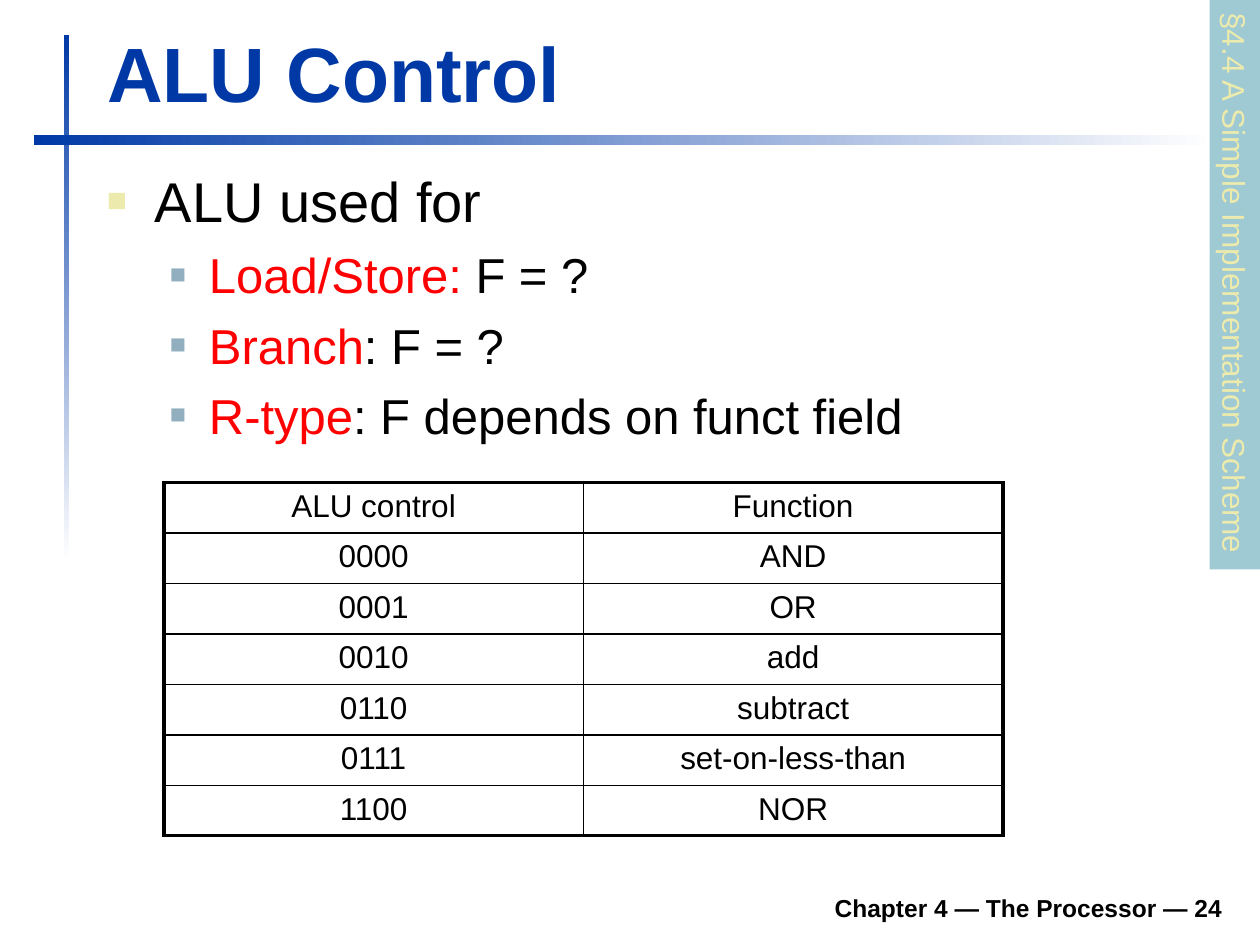
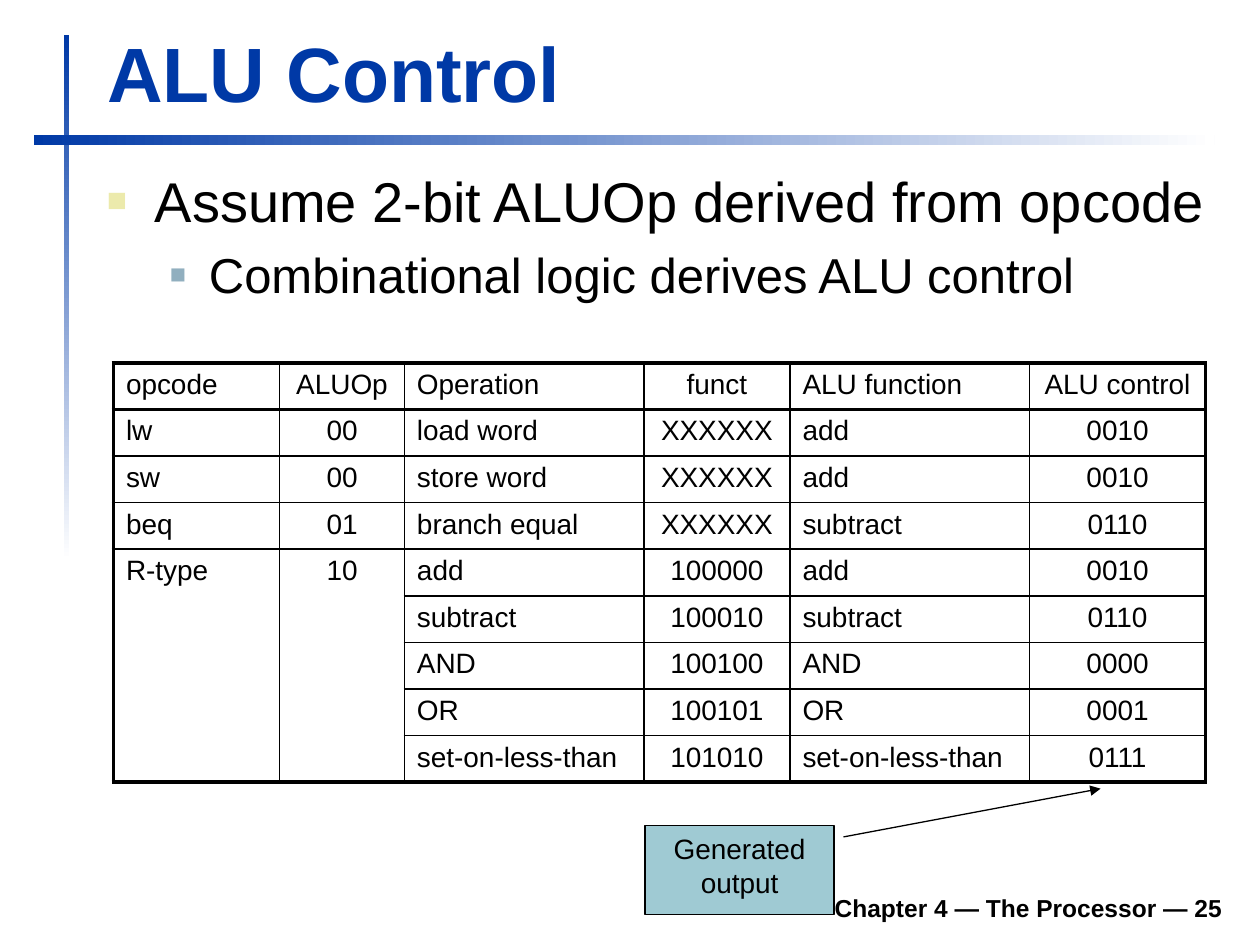
"""Build two slides on ALU control."""
from lxml import etree
from pptx import Presentation
from pptx.dml.color import RGBColor as RGB
from pptx.enum.shapes import MSO_SHAPE as Shape
from pptx.enum.text import MSO_ANCHOR as Anchor, MSO_AUTO_SIZE as Auto, PP_ALIGN as Align
from pptx.oxml.ns import qn
from pptx.util import Inches, Pt

HUES = {"blue": "0039A6", "white": "FFFFFF", "black": "000000", "red": "FF0000",
        "sand": "ECEAAC", "steel": "91AFBF", "teal": "9FCAD3"}
LEVELS = [
    {"size": 32, "bullet": ("sand", 60, 0.38, 0.38)},
    {"size": 28, "bullet": ("steel", 55, 0.81, 0.31), "level": 1, "before": 6.5},
]


def write(frame, text, size=18, color="black", bold=False, align=Align.LEFT,
          before=0, level=0, bullet=None):
    """Add a paragraph; text is a string or a list of (words, colour) pairs."""
    para = frame.paragraphs[0]
    if para.runs:
        para = frame.add_paragraph()
    para.alignment, para.level, para.space_before = align, level, Pt(before)
    if bullet:
        hue, scale, left, hang = bullet
        props = para._p.get_or_add_pPr()
        props.set("marL", str(Inches(left)))
        props.set("indent", str(-Inches(hang)))
        tint = etree.SubElement(props, qn("a:buClr"))
        etree.SubElement(tint, qn("a:srgbClr"), val=HUES[hue])
        etree.SubElement(props, qn("a:buSzPct"), val=str(scale * 1000))
        etree.SubElement(props, qn("a:buFont"), typeface="Arial")
        etree.SubElement(props, qn("a:buChar"), char="■")
    for words, hue in [(text, color)] if isinstance(text, str) else text:
        run = para.add_run()
        run.text = words
        run.font.name, run.font.size, run.font.bold = "Arial", Pt(size), bold
        run.font.color.rgb = RGB.from_string(HUES[hue])


def grid(slide, left, top, widths, height, rows, size, mids, spans=()):
    """Add a ruled table; mids lists the centred columns."""
    table = slide.shapes.add_table(
        len(rows), len(widths), Inches(left), Inches(top),
        Inches(sum(widths)), Inches(height * len(rows))).table
    table.first_row = table.horz_banding = False
    for col, width in zip(table.columns, widths):
        col.width = Inches(width)
    for row in table.rows:
        row.height = Inches(height)
    for r, c, end in spans:
        table.cell(r, c).merge(table.cell(end, c))
    for r, row in enumerate(rows):
        for c, text in enumerate(row):
            cell = table.cell(r, c)
            deep = cell.span_height if cell.is_merge_origin else 1
            edges = {
                "L": 2.25 if c == 0 else 1,
                "R": 2.25 if c == len(widths) - 1 else 1,
                "T": 2.25 if r == 0 else 1.5 if r == 1 else 1,
                "B": 2.25 if r + deep == len(rows) else 1.5 if r == 0 else 1,
            }
            props = cell._tc.get_or_add_tcPr()
            for side, width in edges.items():
                line = etree.SubElement(props, qn("a:ln" + side), w=str(Pt(width)))
                fill = etree.SubElement(line, qn("a:solidFill"))
                etree.SubElement(fill, qn("a:srgbClr"), val=HUES["black"])
            cell.fill.background()
            if text:
                write(cell.text_frame, text, size=size,
                      align=Align.CENTER if c in mids else Align.LEFT)


deck = Presentation()
deck.slide_width, deck.slide_height = Inches(10), Inches(7.5)

pages = [
    (24, 2.6, [
        (0, "ALU used for"),
        (1, [("Load/Store:", "red"), (" F = ?", "black")]),
        (1, [("Branch", "red"), (": F = ?", "black")]),
        (1, [("R-type", "red"), (": F depends on funct field", "black")]),
    ]),
    (25, 5.59, [
        (0, "Assume 2-bit ALUOp derived from opcode"),
        (1, "Combinational logic derives ALU control"),
    ]),
]
bands = [((0.51, 0.28, 0.04, 4.17), 270), ((0.27, 1.07, 9.37, 0.08), 0)]

for number, tall, points in pages:
    slide = deck.slides.add_slide(deck.slide_layouts[5])
    for place, angle in bands:
        band = slide.shapes.add_shape(Shape.RECTANGLE, *map(Inches, place))
        band.shadow.inherit = False
        band.line.fill.background()
        band.fill.gradient()
        band.fill.gradient_angle = angle
        for stop, hue, spot in zip(band.fill.gradient_stops, ("blue", "white"), (0, 1)):
            stop.color.rgb = RGB.from_string(HUES[hue])
            stop.position = spot

    foot = slide.shapes.add_textbox(Inches(1.85), Inches(6.98), Inches(7.95), Inches(0.39))
    foot.text_frame.word_wrap = True
    foot.text_frame.vertical_anchor = Anchor.BOTTOM
    write(foot.text_frame, f"Chapter 4 — The Processor — {number}",
          size=14, bold=True, align=Align.RIGHT)

    title = slide.shapes.title
    title.left, title.top, title.width, title.height = map(Inches, (0.75, 0.16, 9.03, 0.83))
    title.text_frame.vertical_anchor = Anchor.BOTTOM
    title.text_frame.auto_size = Auto.SHAPE_TO_FIT_TEXT
    write(title.text_frame, "ALU Control", size=44, color="blue", bold=True)

    body = slide.shapes.add_textbox(Inches(0.75), Inches(1.23), Inches(9.05), Inches(tall))
    body.text_frame.word_wrap = True
    body.text_frame.margin_top = Inches(0.09)
    for level, text in points:
        write(body.text_frame, text, **LEVELS[level])

first, second = deck.slides

side = first.shapes.add_shape(Shape.RECTANGLE, Inches(7.54), Inches(2.06), Inches(4.52), Inches(0.4))
side.rotation = 90
side.shadow.inherit = False
side.line.fill.background()
side.fill.solid()
side.fill.fore_color.rgb = RGB.from_string(HUES["teal"])
side.text_frame.word_wrap = False
side.text_frame.auto_size = Auto.SHAPE_TO_FIT_TEXT
side.text_frame.vertical_anchor = Anchor.TOP
write(side.text_frame, "§4.4 A Simple Implementation Scheme", color="sand")

codes = [
    ("ALU control", "Function"),
    ("0000", "AND"),
    ("0001", "OR"),
    ("0010", "add"),
    ("0110", "subtract"),
    ("0111", "set-on-less-than"),
    ("1100", "NOR"),
]
grid(first, 1.3, 3.83, [3.33, 3.33], 0.4, codes, 18, (0, 1))

ops = [
    ("opcode", "ALUOp", "Operation", "funct", "ALU function", "ALU control"),
    ("lw", "00", "load word", "XXXXXX", "add", "0010"),
    ("sw", "00", "store word", "XXXXXX", "add", "0010"),
    ("beq", "01", "branch equal", "XXXXXX", "subtract", "0110"),
    ("R-type", "10", "add", "100000", "add", "0010"),
    ("", "", "subtract", "100010", "subtract", "0110"),
    ("", "", "AND", "100100", "AND", "0000"),
    ("", "", "OR", "100101", "OR", "0001"),
    ("", "", "set-on-less-than", "101010", "set-on-less-than", "0111"),
]
grid(second, 0.9, 2.88, [1.32, 0.99, 1.9, 1.16, 1.9, 1.4], 0.37, ops, 16, (1, 3, 5),
     spans=[(4, 0, 8), (4, 1, 8)])

note = second.shapes.add_shape(Shape.LINE_CALLOUT_1, Inches(5.12), Inches(6.55), Inches(1.5), Inches(0.71))
for spot, value in enumerate((0.13, 1.05, -0.41, 2.41)):
    note.adjustments[spot] = value
note.shadow.inherit = False
note.fill.solid()
note.fill.fore_color.rgb = RGB.from_string(HUES["teal"])
note.line.color.rgb = RGB.from_string(HUES["black"])
note.line.width = Pt(0.75)
etree.SubElement(note.line._get_or_add_ln(), qn("a:tailEnd"), type="triangle")
note.text_frame.word_wrap = True
note.text_frame.vertical_anchor = Anchor.TOP
write(note.text_frame, "Generated output", size=16, align=Align.CENTER)

deck.save("out.pptx")
